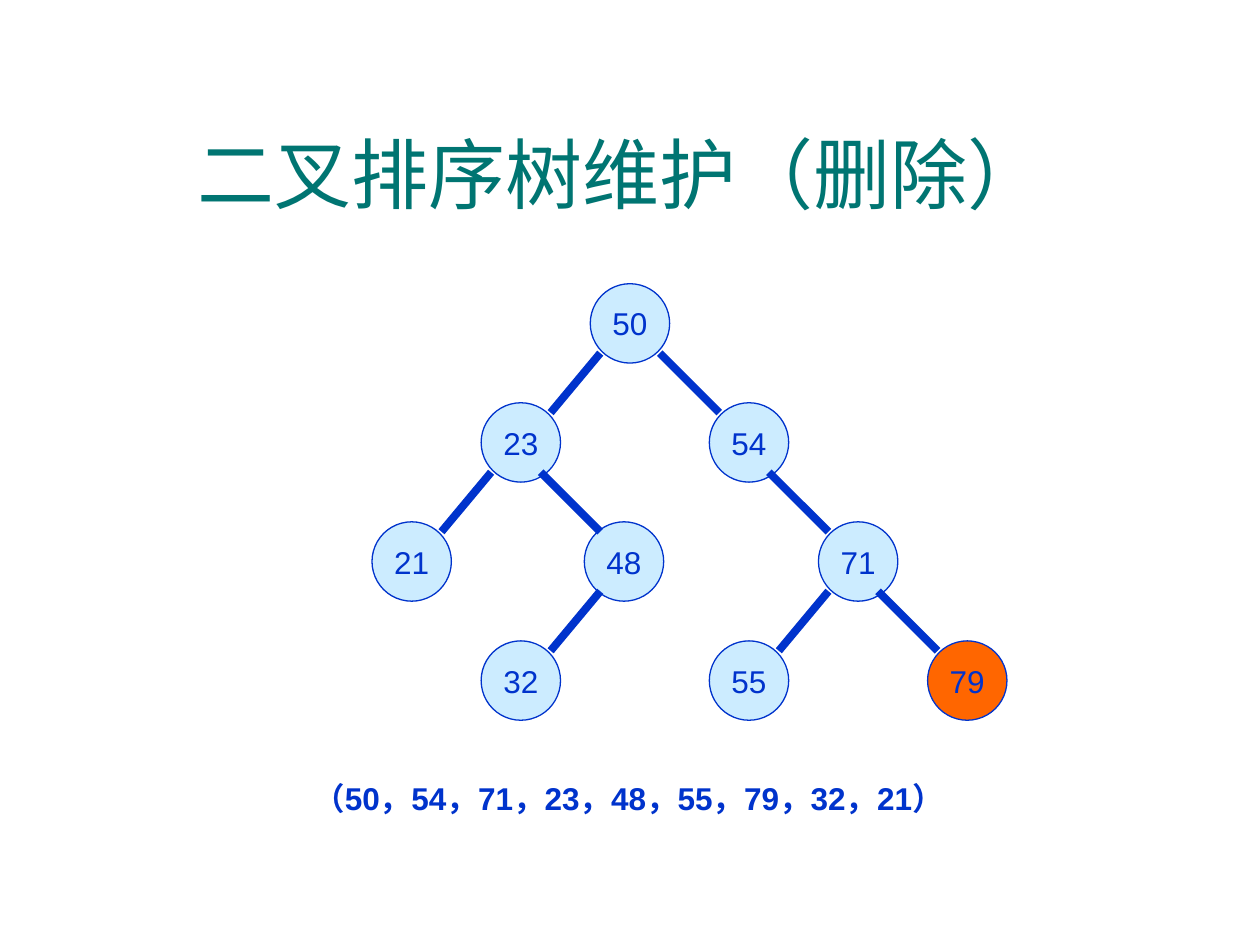
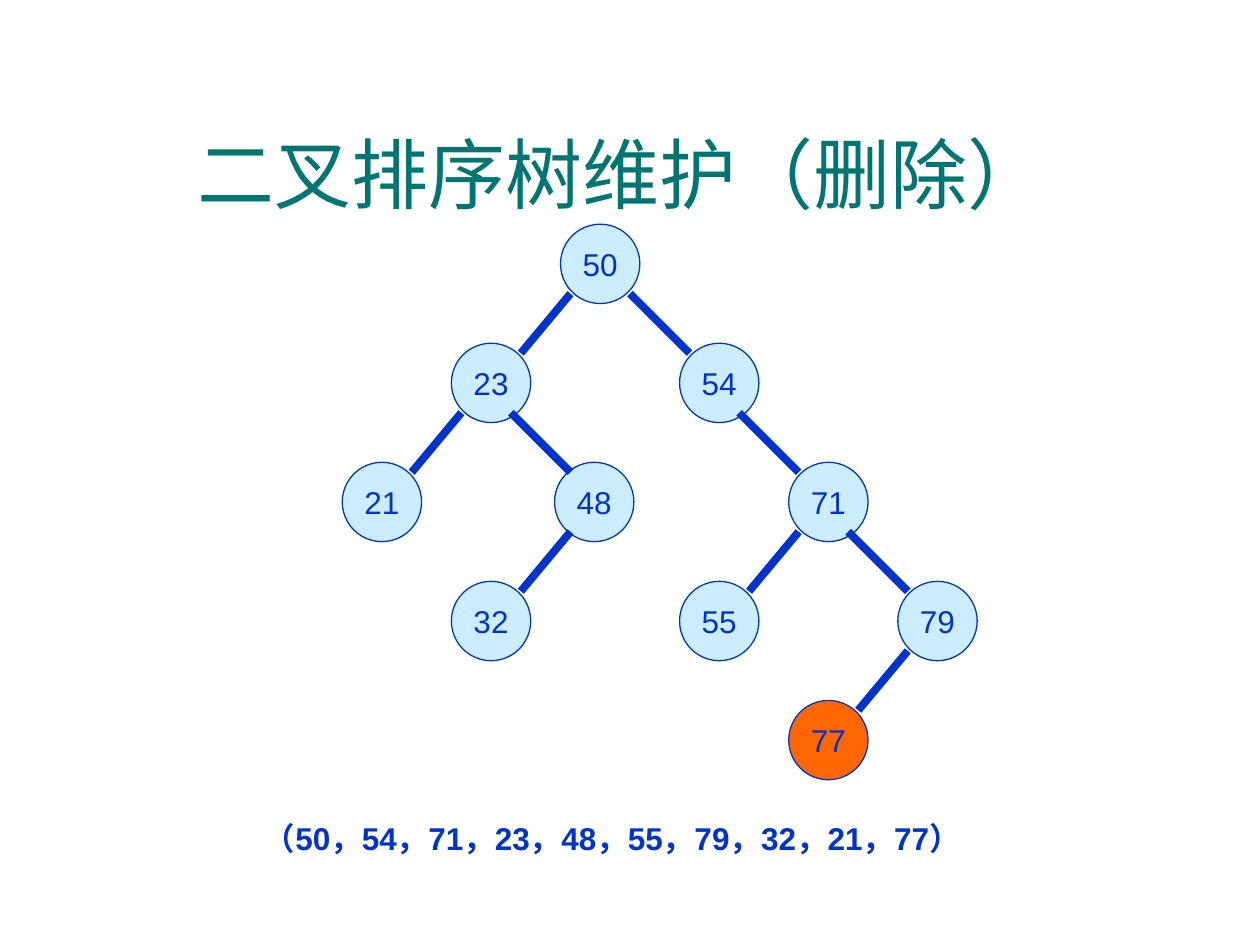
from pptx import Presentation
from pptx.dml.color import RGBColor
from pptx.enum.lang import MSO_LANGUAGE_ID
from pptx.enum.shapes import MSO_CONNECTOR, MSO_SHAPE
from pptx.enum.text import MSO_ANCHOR, MSO_AUTO_SIZE, PP_ALIGN
from pptx.oxml.ns import qn
from pptx.util import Cm, Pt
from lxml import etree

LINE, OVAL = MSO_CONNECTOR.STRAIGHT, MSO_SHAPE.OVAL
LEFT, MID = PP_ALIGN.LEFT, PP_ALIGN.CENTER
CHINESE = MSO_LANGUAGE_ID.SIMPLIFIED_CHINESE

# Content: key -> (parent, column in cm from the root, level)
TITLE = "二叉排序树维护（删除） "
TREE = {
    50: (None, 0, 0),
    54: (50, 2.4, 1),
    71: (54, 4.6, 2),
    23: (50, -2.2, 1),
    48: (23, 0, 2),
    55: (71, 2.4, 3),
    79: (71, 6.8, 3),
    32: (48, -2.2, 3),
    21: (23, -4.4, 2),
}
NUDGE = {48: -0.12}

SLIDES = [
    dict(tree=TREE, mark=79, root=(11.9, 5.72), box=(4.5, 15.14, 16, 1.88),
         keys="（50，54，71，23，48，55，79，32，21）"),
    dict(tree={**TREE, 77: (79, 4.6, 4)}, mark=77, root=(11.3, 4.52),
         box=(3.5, 15.95, 16.8, 1.88),
         keys="（50，54，71，23，48，55，79，32，21，77）"),
]

# Shared style, lengths in cm
FONT, TEAL, BLUE, PALE, HOT = "Arial", "007572", "0033CC", "CCECFF", "FF6600"
HEAD = (0.84, 1.9, 23.72, 3.18)
SIZE, STEP = 1.6, 2.4
NEAR, FAR = 0.2, 1.4
RISE, RUN = 1.2, {"left": 1, "right": -1.2}
INDENT = 1.57


def color(code):
    return RGBColor.from_string(code)


def write(shape, text, size=18, tint=BLUE, bold=False, align=MID, wrap=True, indent=0):
    frame = shape.text_frame
    frame.auto_size = MSO_AUTO_SIZE.NONE
    frame.word_wrap = wrap
    frame.vertical_anchor = MSO_ANCHOR.MIDDLE
    para = frame.paragraphs[0]
    para.alignment = align
    if indent:
        props = para._p.get_or_add_pPr()
        props.set("marL", "0")
        props.set("indent", str(Cm(indent)))
    run = para.add_run()
    run.text = text
    font = run.font
    font.name, font.size, font.bold = FONT, Pt(size), bold
    font.color.rgb = color(tint)
    font.language_id = CHINESE


def add_node(slide, key, x, y, fill):
    node = slide.shapes.add_shape(OVAL, Cm(x), Cm(y), Cm(SIZE), Cm(SIZE))
    node.shadow.inherit = False
    node.fill.solid()
    node.fill.fore_color.rgb = color(fill)
    node.line.color.rgb = color(BLUE)
    node.line.width = Pt(0.75)
    write(node, str(key), wrap=False)


def add_edge(slide, x, y, side):
    """Join the child at x, y to the parent above it."""
    end_x = x + (FAR if side == "left" else NEAR)
    end_y = y + NEAR
    edge = slide.shapes.add_connector(
        LINE, Cm(end_x + RUN[side]), Cm(end_y - RISE), Cm(end_x), Cm(end_y))
    edge.line.color.rgb = color(BLUE)
    edge.line.width = Pt(4.5)
    etree.SubElement(edge._element.spPr, qn("a:effectLst"))


def add_tree(slide, tree, mark, root):
    for key, (parent, col, level) in tree.items():
        x, y = root[0] + col, root[1] + level * STEP
        add_node(slide, key, x + NUDGE.get(key, 0), y, HOT if key == mark else PALE)
        if parent is not None:
            add_edge(slide, x, y, "left" if key < parent else "right")


def main():
    deck = Presentation()
    deck.slide_width, deck.slide_height = Cm(25.4), Cm(19.05)
    for data in SLIDES:
        slide = deck.slides.add_slide(deck.slide_layouts[5])
        # Title
        head = slide.shapes.title
        head.left, head.top, head.width, head.height = map(Cm, HEAD)
        write(head, TITLE, size=44, tint=TEAL)
        # Insertion order
        note = slide.shapes.add_textbox(*map(Cm, data["box"]))
        write(note, data["keys"], bold=True, align=LEFT, indent=INDENT)
        # Search tree
        add_tree(slide, data["tree"], data["mark"], data["root"])
    deck.save("out.pptx")


if __name__ == "__main__":
    main()
